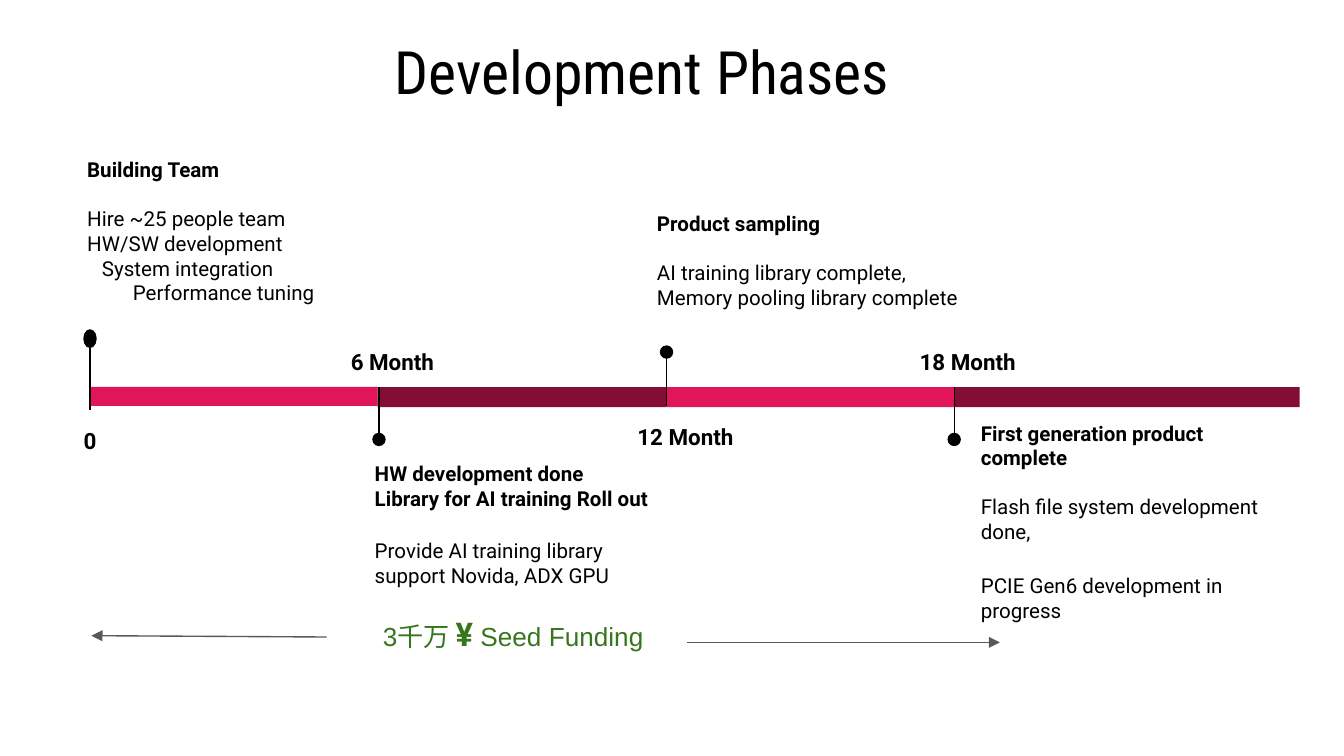
from lxml import etree
from pptx import Presentation, util as u
from pptx.dml.color import RGBColor
from pptx.enum import shapes, text
from pptx.oxml.ns import qn

PX = 9144  # EMU per px, 100 px to the inch
WIDE = 1000
PINK, WINE, BLACK = "E1165A", "840D35", "000000"
GREY, GREEN = "595959", "38761D"
LEFT, MID = text.PP_ALIGN.LEFT, text.PP_ALIGN.CENTER

# Bar segments: left, right, height, colour
BARS = [(67, 281, 14, PINK), (281, 496, 15, WINE),
        (496, 710, 15, PINK), (710, 967, 15, WINE)]

# Pins: x, dot centre, far end, dot height
PINS = [(67, 252, 305, 14), (282, 327, 288, 10),
        (496, 262, 302, 10), (710, 327, 288, 10)]

# Month labels: text, centre x, top
MONTHS = [("0", 67, 305), ("6 Month", 292, 246),
          ("12 Month", 510, 302), ("18 Month", 720, 246)]

# Notes: box, then lines of text, bold, points before, indent in px
NOTES = [
    ((55, 107, 271, 138), [
        ("Building Team", True, 0, 0),
        ("Hire ~25 people team", False, 13, 0),
        ("HW/SW development", False, 0, 0),
        ("System integration", False, 0, 11),
        ("Performance tuning", False, 0, 34)]),
    ((269, 333, 246, 103), [
        ("HW development done", True, 0, 0),
        ("Library for AI training Roll out", True, 0, 0),
        ("Provide AI training library support Novida, ADX GPU", False, 15, 0)]),
    ((479, 147, 246, 140), [
        ("Product sampling", True, 0, 0),
        ("AI training library complete, Memory pooling library complete",
         False, 13, 0)]),
    ((720, 303, 246, 179), [
        ("First generation product complete", True, 0, 0),
        ("Flash file system development done,", False, 13, 0),
        ("PCIE Gen6 development in progress", False, 16, 0)]),
]


def px(*nums):
    return [u.Emu(round(n * PX)) for n in nums]


def rgb(code):
    return RGBColor.from_string(code)


def style(run, size, font="Roboto", bold=False, color=BLACK):
    run.font.size = u.Pt(size)
    run.font.name = font
    run.font.bold = bold
    run.font.color.rgb = rgb(color)


def add_box(slide, box, anchor=text.MSO_ANCHOR.TOP):
    frame = slide.shapes.add_textbox(*px(*box)).text_frame
    frame.word_wrap = True
    frame.vertical_anchor = anchor
    for side in ("left", "right", "top", "bottom"):
        setattr(frame, "margin_" + side, px(10)[0])
    return frame


def add_solid(slide, kind, box, color):
    shape = slide.shapes.add_shape(kind, *px(*box))
    shape.shadow.inherit = False
    shape.fill.solid()
    shape.fill.fore_color.rgb = rgb(color)
    shape.line.fill.background()


def add_line(slide, ends, color, arrow=False):
    line = slide.shapes.add_connector(shapes.MSO_CONNECTOR.STRAIGHT, *px(*ends))
    line.line.color.rgb = rgb(color)
    line.line.width = u.Pt(0.75)
    if arrow:
        etree.SubElement(line.line._get_or_add_ln(), qn("a:tailEnd"),
                         type="triangle")
    etree.SubElement(line._element.spPr, qn("a:effectLst"))


def add_pin(slide, x, dot, end, high):
    add_line(slide, (x, dot, x, end), BLACK)
    add_solid(slide, shapes.MSO_SHAPE.OVAL,
              (x - 5, dot - high / 2, 10, high), BLACK)


def add_month(slide, label, mid, top):
    para = add_box(slide, (mid - 51, top, 102, 41)).paragraphs[0]
    para.text = label
    para.alignment = MID
    para.line_spacing = 1.15
    style(para.runs[0], 12, bold=True)


def add_note(slide, box, lines):
    frame = add_box(slide, box)
    frame.text = "\n".join(line[0] for line in lines)
    for para, (_, bold, before, indent) in zip(frame.paragraphs, lines):
        para.alignment = LEFT
        if before:
            para.space_before = u.Pt(before)
        if indent:
            para._p.get_or_add_pPr().set("marL", str(indent * PX))
        style(para.runs[0], 11, bold=bold)


def add_title(slide):
    frame = add_box(slide, (12, 9, 932, 80), text.MSO_ANCHOR.BOTTOM)
    frame.text = "Development Phases"
    frame.paragraphs[0].alignment = MID
    style(frame.paragraphs[0].runs[0], 32, "Roboto Condensed")


def add_fund(slide):
    para = add_box(slide, (275, 447, 236, 50)).paragraphs[0]
    for words, size, font, bold in [("3千万 ", 14, "Arial", False),
                                    ("¥", 17.5, "Roboto", True),
                                    (" Seed Funding", 14, "Arial", False)]:
        run = para.add_run()
        run.text = words
        style(run, size, font, bold, GREEN)


def main():
    deck = Presentation()
    deck.slide_width, deck.slide_height = px(WIDE, WIDE * 9 / 16)
    slide = deck.slides.add_slide(deck.slide_layouts[6])
    add_title(slide)

    # Timeline
    for left, right, high, color in BARS:
        add_solid(slide, shapes.MSO_SHAPE.RECTANGLE,
                  (left, 288, right - left, high), color)
    for pin in PINS:
        add_pin(slide, *pin)
    for month in MONTHS:
        add_month(slide, *month)
    for box, lines in NOTES:
        add_note(slide, box, lines)

    # Funding span
    add_line(slide, (243, 474, 68, 473), GREY, arrow=True)
    add_line(slide, (511, 478, 744, 478), GREY, arrow=True)
    add_fund(slide)
    deck.save("out.pptx")


if __name__ == "__main__":
    main()
